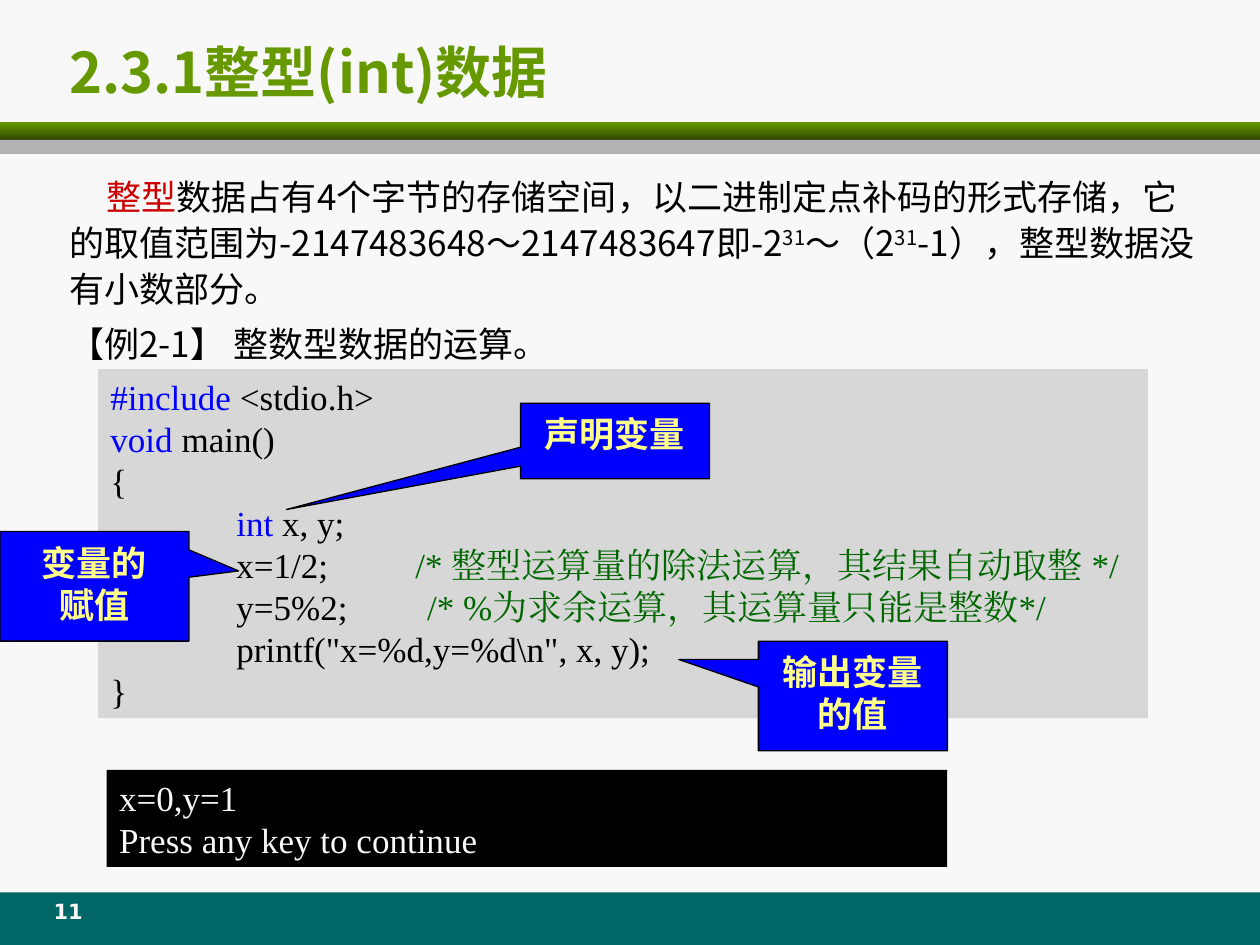
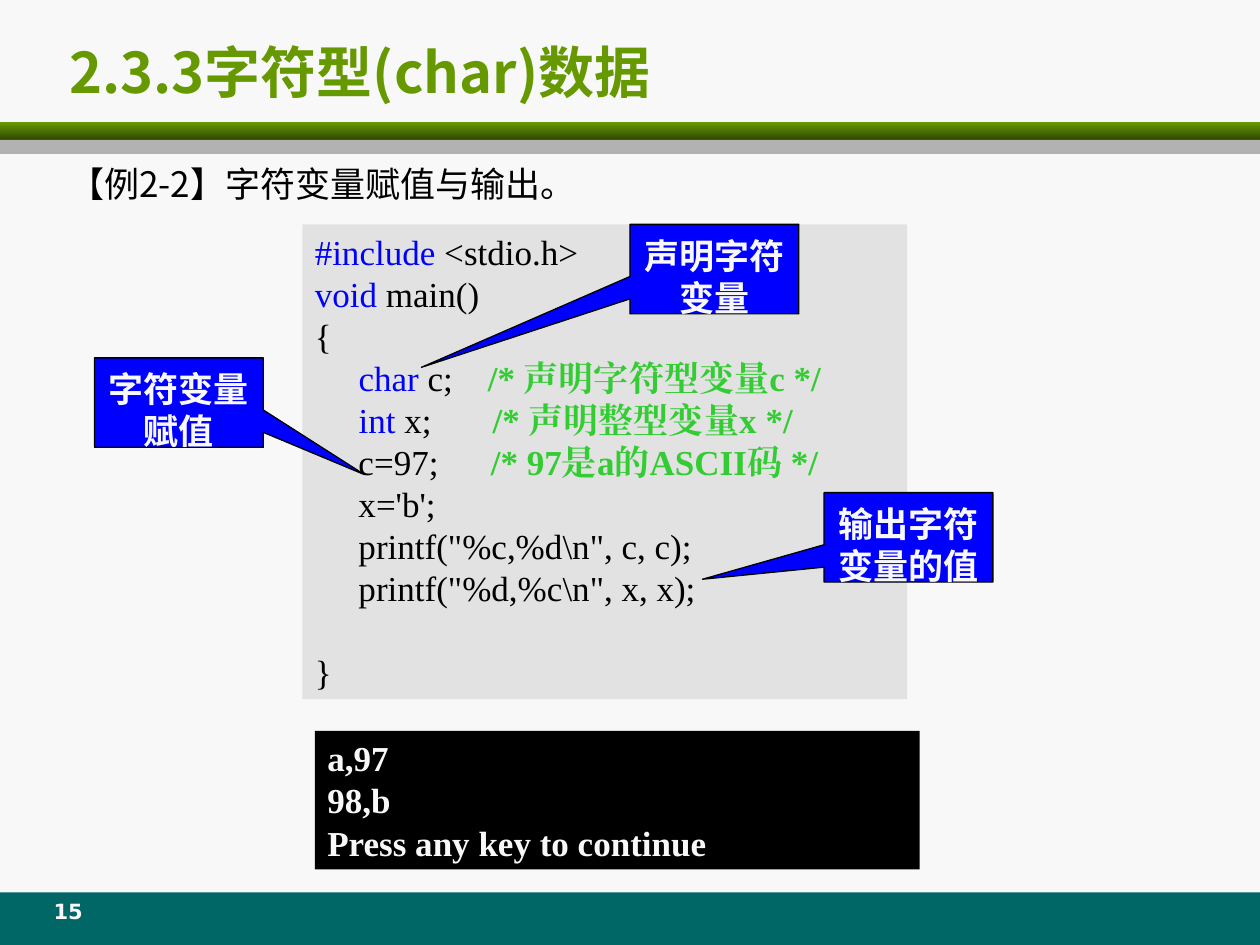
import pptx
import pptx.dml.color
import pptx.enum.shapes
import pptx.enum.text
import pptx.oxml.ns
import pptx.util
from dataclasses import dataclass
from lxml import etree

Pt = pptx.util.Pt
SHAPES = pptx.enum.shapes.MSO_SHAPE
ALIGN = pptx.enum.text.PP_ALIGN
ANCHOR = pptx.enum.text.MSO_ANCHOR
qn = pptx.oxml.ns.qn


@dataclass(frozen=True)
class Theme:
    paper: str = "F8F8F8"
    ink: str = "000000"
    green: str = "669900"
    dark_green: str = "2F4600"
    gray: str = "B2B2B2"
    teal: str = "006666"
    blue: str = "0000FF"
    red: str = "CC0000"
    yellow: str = "FFFF89"
    deep_comment: str = "006600"
    bright_comment: str = "33CC33"
    deep_panel: str = "D7D7D7"
    light_panel: str = "E2E2E2"
    title_font: str = "Noto Sans CJK JP"
    body_font: str = "Noto Sans CJK SC"
    code_font: str = "Times New Roman"
    callout_font: str = "Noto Sans Mono"
    number_font: str = "DejaVu Sans"
    title_size: int = 32
    text_size: int = 20
    number_size: int = 12
    code_pitch: float = 24
    body_pitch: float = 26.5


@dataclass(frozen=True)
class Part:
    text: str
    color: str = ""
    bold: bool = False
    raised: bool = False


def rgb(value):
    return pptx.dml.color.RGBColor.from_string(value)


class Lesson:
    def __init__(self, theme):
        self.theme = theme
        self.deck = pptx.Presentation()
        self.deck.slide_width, self.deck.slide_height = Pt(720), Pt(540)
        self.slide = None

    def start(self, title, number):
        theme = self.theme
        self.slide = self.deck.slides.add_slide(self.deck.slide_layouts[6])
        backdrop = self.slide.background.fill
        backdrop.solid()
        backdrop.fore_color.rgb = rgb(theme.paper)
        self.block((0, 510, 720, 30), theme.teal)
        rule = self.block((0, 70, 720, 10), theme.green)
        rule.fill.gradient()
        rule.fill.gradient_angle = 270
        for stop, color in zip(rule.fill.gradient_stops, (theme.green, theme.dark_green)):
            stop.color.rgb = rgb(color)
        self.block((0, 80, 720, 8), theme.gray)
        heading = self.label((32.4, 16.6, 687.6, 48.2))
        heading.vertical_anchor = ANCHOR.MIDDLE
        self.typeset(heading, [[Part(title, bold=True)]], theme.title_font,
                     theme.title_size, theme.green)
        self.typeset(self.label((18, 510, 42, 24)), [[Part(str(number), bold=True)]],
                     theme.number_font, theme.number_size, theme.paper, align=ALIGN.CENTER)

    def block(self, box, color, kind=SHAPES.RECTANGLE):
        shape = self.slide.shapes.add_shape(kind, *map(Pt, box))
        shape.shadow.inherit = False
        shape.fill.solid()
        shape.fill.fore_color.rgb = rgb(color)
        shape.line.fill.background()
        return shape

    def label(self, box):
        frame = self.slide.shapes.add_textbox(*map(Pt, box)).text_frame
        frame.word_wrap = True
        return frame

    def typeset(self, frame, lines, font, size, color, pitch=None, align=ALIGN.LEFT):
        for index, parts in enumerate(lines):
            line = frame.add_paragraph() if index else frame.paragraphs[0]
            line.alignment = align
            if pitch:
                line.line_spacing = Pt(pitch)
            for part in parts:
                run = line.add_run()
                run.text = part.text
                run.font.size = Pt(size)
                run.font.bold = part.bold
                run.font.color.rgb = rgb(part.color or color)
                run.font.name = font
                properties = run.font._element
                etree.SubElement(properties, qn("a:ea"), typeface=font)
                if part.raised:
                    properties.set("baseline", "30000")

    def body(self, box, lines, indent=0):
        theme = self.theme
        frame = self.label(box)
        self.typeset(frame, lines, theme.body_font, theme.text_size, theme.ink,
                     theme.body_pitch)
        for line in frame.paragraphs[1:]:
            line.space_before = Pt(5)
        if indent:
            frame.paragraphs[0]._p.get_or_add_pPr().set("indent", str(Pt(indent)))

    def panel(self, box, lines, fill, color, tabs=None):
        theme = self.theme
        frame = self.block(box, fill).text_frame
        frame.word_wrap = True
        frame.margin_right = 0
        frame.vertical_anchor = ANCHOR.TOP
        self.typeset(frame, lines, theme.code_font, theme.text_size, color, theme.code_pitch)
        for index, stops in (tabs or {}).items():
            properties = frame.paragraphs[index]._p.get_or_add_pPr()
            tab_list = etree.SubElement(properties, qn("a:tabLst"))
            for stop in stops:
                etree.SubElement(tab_list, qn("a:tab"), pos=str(Pt(stop)), algn="l")
        return frame

    def code(self, box, lines, fill, tabs):
        return self.panel(box, lines, fill, self.theme.ink, tabs)

    def console(self, box, lines, bold=False):
        self.panel(box, [[Part(line, bold=bold)] for line in lines],
                   self.theme.ink, self.theme.paper)

    def callout(self, box, tip, lines, color):
        theme = self.theme
        left, top, width, height = box
        shape = self.block(box, theme.blue, SHAPES.RECTANGULAR_CALLOUT)
        shape.adjustments[0] = (tip[0] - left) / width - 0.5
        shape.adjustments[1] = (tip[1] - top) / height - 0.5
        shape.line.color.rgb = rgb(theme.ink)
        shape.line.width = Pt(0.75)
        frame = shape.text_frame
        frame.word_wrap = True
        frame.margin_top = Pt(5.5)
        frame.vertical_anchor = ANCHOR.TOP
        self.typeset(frame, [[Part(line, bold=True)] for line in lines], theme.callout_font,
                     theme.text_size, color, theme.code_pitch, ALIGN.CENTER)


def integer_slide(lesson):
    theme = lesson.theme
    lesson.start("2.3.1整型(int)数据", 11)
    lesson.body((32.4, 94, 661.7, 119), [
        [Part("整型", theme.red),
         Part("数据占有4个字节的存储空间，以二进制定点补码的形式存储，"
              "它的取值范围为-2147483648～2147483647即-2"),
         Part("31", raised=True), Part("～（2"), Part("31", raised=True),
         Part("-1），整型数据没有小数部分。")],
        [Part("【例2-1】 整数型数据的运算。")],
    ], indent=21.5)
    lesson.code((56, 211, 600, 199.4), [
        [Part("#include", theme.blue), Part(" <stdio.h>")],
        [Part("void ", theme.blue), Part("main()")],
        [Part("{")],
        [Part("\t"), Part("int ", theme.blue), Part("x, y;")],
        [Part("\tx=1/2;\t"),
         Part("/* 整型运算量的除法运算，其结果自动取整 */", theme.deep_comment)],
        [Part("\ty=5%2;\t"),
         Part("/* %为求余运算，其运算量只能是整数*/", theme.deep_comment)],
        [Part("\tprintf(\"x=%d,y=%d\\n\", x, y);")],
        [Part("}")],
    ], theme.deep_panel, {3: (72,), 4: (72, 174.3), 5: (72, 181), 6: (72,)})
    lesson.console((61, 440, 480.3, 55.4), ["x=0,y=1", "Press any key to continue"])
    for box, tip, lines in (
        ((297.4, 230.4, 108, 43.2), (163.7, 291.2), ["声明变量"]),
        ((0, 303.8, 108, 62.6), (136.4, 326.3), ["变量的", "赋值"]),
        ((433.4, 366.5, 108, 62.6), (387.9, 376.9), ["输出变量的值"]),
    ):
        lesson.callout(box, tip, lines, theme.yellow)


def character_slide(lesson):
    theme = lesson.theme
    lesson.start("2.3.3字符型(char)数据", 15)
    lesson.body((32.4, 87.1, 344.2, 41), [[Part("【例2-2】字符变量赋值与输出。")]])
    listing = lesson.code((172.8, 128.2, 345.6, 271.4), [
        [Part("#include", theme.blue), Part(" <stdio.h>")],
        [Part("void", theme.blue), Part(" main()")],
        [Part("{")],
        [Part("     "), Part("char", theme.blue), Part(" c;\t"),
         Part("/* 声明字符型变量c */", theme.bright_comment, True)],
        [Part("     "), Part("int", theme.blue), Part(" x;\t"),
         Part("/* 声明整型变量x */", theme.bright_comment, True)],
        [Part("     c=97;\t"),
         Part("/* 97是a的ASCII码 */", theme.bright_comment, True)],
        [Part("     x='b';")],
        [Part("     printf(\"%c,%d\\n\", c, c);")],
        [Part("     printf(\"%d,%c\\n\", x, x);")],
        [Part("}")],
    ], theme.light_panel, {3: (98.9,), 4: (101.7,), 5: (100.6,)})
    listing.paragraphs[-1].space_before = Pt(theme.code_pitch)
    lesson.console((180, 417.6, 345.6, 79.2),
                   ["a,97", "98,b", "Press any key to continue"], bold=True)
    for corner, tip, text in (
        ((360, 128.2), (240.8, 209.9), "声明字符变量"),
        ((54, 204.5), (208.3, 271.2), "字符变量赋值"),
        ((470.9, 281.5), (401.4, 331), "输出字符变量的值"),
    ):
        lesson.callout((*corner, 96.5, 51.1), tip, [text], theme.paper)


def main():
    lesson = Lesson(Theme())
    integer_slide(lesson)
    character_slide(lesson)
    lesson.deck.save("out.pptx")


if __name__ == "__main__":
    main()
